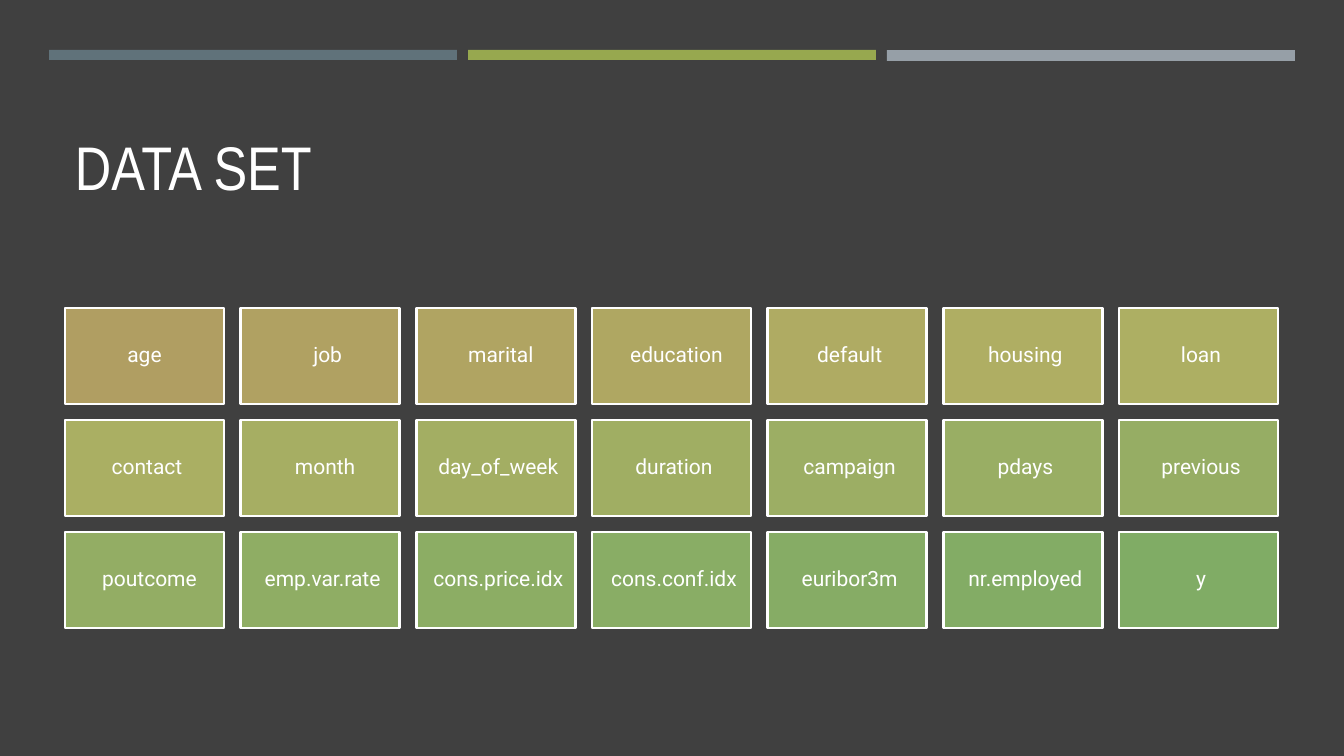
from colorsys import hls_to_rgb, rgb_to_hls

from pptx import Presentation
from pptx.dml.color import RGBColor
from pptx.enum.shapes import MSO_SHAPE
from pptx.enum.text import MSO_ANCHOR, PP_ALIGN
from pptx.util import Inches, Pt

PX_PER_INCH = 100.8
COLORS = {
    "base": "000000",
    "backdrop": "404040",
    "text": "FFFFFF",
    "bar_slate": "60727A",
    "bar_green": "97A84F",
    "bar_gray": "969FA7",
    "first_field": "B09E62",
    "last_field": "80AC65",
}
BARS = [("bar_slate", 10), ("bar_green", 10), ("bar_gray", 11)]

# Each field name with the extra left inset (px) that nudges it right of centre.
FIELDS = [
    ("age", 0), ("job", 15), ("marital", 10), ("education", 10),
    ("default", 5), ("housing", 5), ("loan", 5),
    ("contact", 5), ("month", 10), ("day_of_week", 5), ("duration", 5),
    ("campaign", 5), ("pdays", 5), ("previous", 5),
    ("poutcome", 10), ("emp.var.rate", 5), ("cons.price.idx", 5),
    ("cons.conf.idx", 5), ("euribor3m", 5), ("nr.employed", 5), ("y", 5),
]
COLUMNS = 7
GRID_LEFT, GRID_TOP, GRID_WIDTH = 65, 308, 1213
CELL_WIDTH, CELL_HEIGHT, ROW_PITCH = 159, 96, 112
COLUMN_PITCH = (GRID_WIDTH - CELL_WIDTH) / (COLUMNS - 1)
CELL_INSET = 6


def px(length):
    return Inches(length / PX_PER_INCH)


def field_color(position):
    """Blend hue, lightness and saturation from first to last field; position is 0 to 1."""
    start, end = (
        rgb_to_hls(*(channel / 255 for channel in RGBColor.from_string(COLORS[name])))
        for name in ("first_field", "last_field")
    )
    blend = (a + (b - a) * position for a, b in zip(start, end))
    return RGBColor(*(round(channel * 255) for channel in hls_to_rgb(*blend)))


def add_rectangle(slide, left, top, width, height, fill):
    shape = slide.shapes.add_shape(
        MSO_SHAPE.RECTANGLE, px(left), px(top), px(width), px(height))
    shape.shadow.inherit = False
    shape.fill.solid()
    shape.fill.fore_color.rgb = fill
    shape.line.fill.background()
    return shape


def set_text(shape, text, font_name, size, anchor, alignment):
    frame = shape.text_frame
    frame.word_wrap = True
    frame.vertical_anchor = anchor
    paragraph = frame.paragraphs[0]
    paragraph.text = text
    paragraph.alignment = alignment
    paragraph.line_spacing = 0.9
    paragraph.font.name = font_name
    paragraph.font.size = Pt(size)
    paragraph.font.color.rgb = RGBColor.from_string(COLORS["text"])


def add_title(slide, text):
    title = slide.shapes.add_textbox(px(65), px(78), px(1216), px(131))
    set_text(title, text, "Arial Narrow", 44, MSO_ANCHOR.BOTTOM, PP_ALIGN.LEFT)


def add_bars(slide):
    for index, (color, height) in enumerate(BARS):
        add_rectangle(slide, 49 + 419 * index, 50, 408, height,
                      RGBColor.from_string(COLORS[color]))


def add_field(slide, index, name, nudge):
    row, column = divmod(index, COLUMNS)
    cell = add_rectangle(
        slide, GRID_LEFT + column * COLUMN_PITCH, GRID_TOP + row * ROW_PITCH,
        CELL_WIDTH, CELL_HEIGHT, field_color(index / (len(FIELDS) - 1)))
    cell.line.color.rgb = RGBColor.from_string(COLORS["text"])
    cell.line.width = Pt(1.75)
    set_text(cell, name, "Roboto", 15, MSO_ANCHOR.MIDDLE, PP_ALIGN.CENTER)
    frame = cell.text_frame
    frame.margin_left = px(CELL_INSET + nudge)
    frame.margin_right = frame.margin_top = frame.margin_bottom = px(CELL_INSET)


def main():
    presentation = Presentation()
    presentation.slide_width = px(1344)
    presentation.slide_height = px(756)
    slide = presentation.slides.add_slide(presentation.slide_layouts[6])
    slide.background.fill.solid()
    slide.background.fill.fore_color.rgb = RGBColor.from_string(COLORS["base"])

    add_rectangle(slide, 0, 0, 1344, 756, RGBColor.from_string(COLORS["backdrop"]))
    add_title(slide, "DATA SET")
    add_bars(slide)
    for index, (name, nudge) in enumerate(FIELDS):
        add_field(slide, index, name, nudge)
    presentation.save("out.pptx")


if __name__ == "__main__":
    main()
